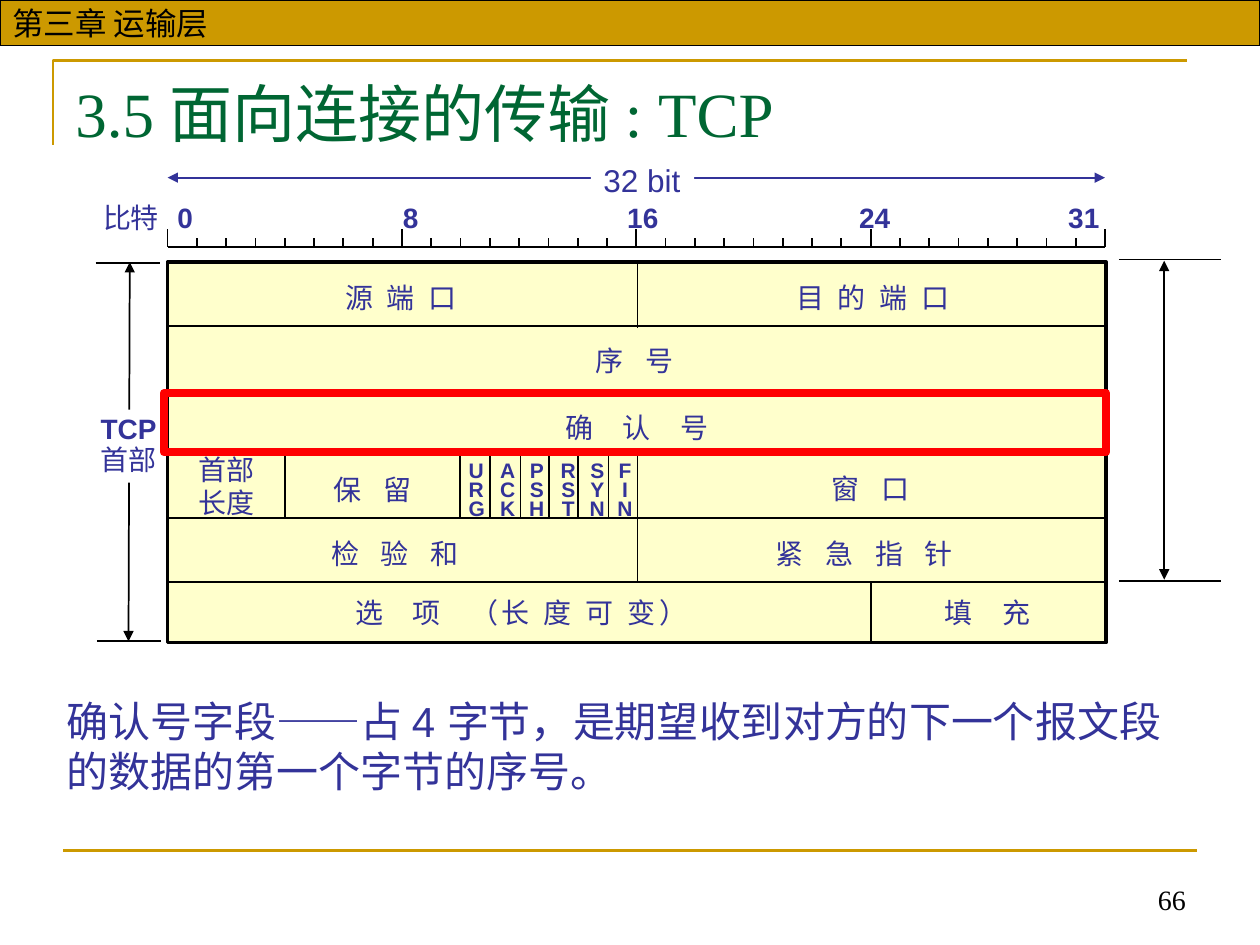
from lxml import etree
from pptx import Presentation
from pptx.dml.color import RGBColor
from pptx.enum.shapes import MSO_CONNECTOR, MSO_SHAPE
from pptx.enum.text import MSO_ANCHOR as ANCHOR, PP_ALIGN as ALIGN
from pptx.oxml.ns import qn
from pptx.util import Inches, Pt

THEME = {
    "gold": RGBColor(0xCC, 0x99, 0x00), "black": RGBColor(0, 0, 0),
    "white": RGBColor(255, 255, 255), "cream": RGBColor(0xFF, 0xFF, 0xCC),
    "navy": RGBColor(0x33, 0x33, 0x99), "green": RGBColor(0, 0x66, 0x33),
    "red": RGBColor(255, 0, 0), "sans": "Arial", "serif": "Times New Roman",
    "title": 36, "body": 24, "head": 18, "label": 16, "flag": 12,
}
SPACE = 2.22  # points of tracking that widen a gap by one label-size space

prs = Presentation()
prs.slide_width, prs.slide_height = Inches(10), Inches(7.5)
s = prs.slides.add_slide(prs.slide_layouts[6])


def add_text(box, paras, size="label", color="navy", font="sans", wrap=False,
             align=ALIGN.LEFT, anchor=ANCHOR.TOP, spacing=1.0, fill=None, line=None):
    """Each paragraph is a list of runs: (text, bold, gap in spaces)."""
    sp = s.shapes.add_shape(MSO_SHAPE.RECTANGLE, *map(Inches, box)) if fill \
        else s.shapes.add_textbox(*map(Inches, box))
    if fill:
        sp.shadow.inherit = False
        sp.fill.solid()
        sp.fill.fore_color.rgb = THEME[fill]
        if line:
            sp.line.color.rgb, sp.line.width = THEME[line], Pt(0.75)
        else:
            sp.line.fill.background()
    tf = sp.text_frame
    tf.word_wrap, tf.vertical_anchor = wrap, anchor
    for i, runs in enumerate(paras):
        p = tf.paragraphs[0] if i == 0 else tf.add_paragraph()
        p.alignment, p.line_spacing = align, spacing
        for text, bold, gap in runs:
            r = p.add_run()
            r.text = text
            fmt = {"name": THEME[font], "size": Pt(THEME[size]), "bold": bold}
            for key, value in fmt.items():
                setattr(r.font, key, value)
            r.font.color.rgb = THEME[color]
            if gap > 1:
                r._r.get_or_add_rPr().set("spc", str(round((gap - 1) * SPACE * 100)))
    return tf


def add_line(x1, y1, x2, y2, color="black", width=1, arrows=False):
    c = s.shapes.add_connector(MSO_CONNECTOR.STRAIGHT, *map(Inches, (x1, y1, x2, y2)))
    c.line.color.rgb, c.line.width = THEME[color], Pt(width)
    if arrows:
        for end in ("a:headEnd", "a:tailEnd"):
            etree.SubElement(c.line._get_or_add_ln(), qn(end), type="triangle")
    etree.SubElement(c._element.spPr, qn("a:effectLst"))


# Page frame: corner rule, bottom rule, chapter bar, page number
fb = s.shapes.build_freeform(Inches(0.42), Inches(1.15))
fb.add_line_segments([(Inches(0.42), Inches(0.48)), (Inches(9.42), Inches(0.48))], close=False)
corner = fb.convert_to_shape()
corner.shadow.inherit = False
corner.fill.background()
corner.line.color.rgb, corner.line.width = THEME["gold"], Pt(1.5)
add_line(0.5, 6.75, 9.5, 6.75, "gold", 1.5)
add_text((0, 0, 10, 0.36), [[("第三章 运输层", False, 1)]], "head", "black",
         anchor=ANCHOR.MIDDLE, fill="gold", line="black")
add_text((6.34, 6.82, 3.17, 0.5), [[("66", False, 1)]], "label", "black", "serif",
         wrap=True, align=ALIGN.RIGHT, anchor=ANCHOR.BOTTOM)

# Title
add_text((0.5, 0.54, 9, 0.77), [[("3.5 面向连接的传输 : TCP", False, 1)]],
         "title", "green", "serif", wrap=True)

# Height arrows at both sides
add_line(1.03, 2.08, 1.02, 5.09, arrows=True)
add_text((0.7, 3.25, 0.65, 0.58), [[("TCP", True, 1)], [("首部", False, 1)]],
         spacing=0.9, fill="white")
add_line(9.24, 2.07, 9.24, 4.6, arrows=True)
for x, y, width in [(0.76, 2.09, 0.51), (0.77, 5.09, 0.51),
                    (8.88, 2.06, 0.81), (8.88, 4.61, 0.81)]:
    add_line(x, y, x + width, y)

# Width arrow and bit ruler
LEFT, RIGHT, BITS = 1.33, 8.77, 32
add_line(LEFT, 1.41, RIGHT, 1.41, "navy", arrows=True)
add_text((4.69, 1.23, 0.82, 0.4), [[("32 bit", False, 1)]], "head", fill="white")
add_line(LEFT, 1.96, RIGHT, 1.96)
for bit in range(BITS + 1):
    x = LEFT + bit * (RIGHT - LEFT) / BITS
    add_line(x, 1.82 if bit % 8 == 0 else 1.89, x, 1.96)
tf = add_text((0.72, 1.54, 8.27, 0.37), [[]], wrap=True)
p = tf.paragraphs[0]
tabs = etree.SubElement(p._p.get_or_add_pPr(), qn("a:tabLst"))
for stop in (0.59, 2.38, 4.16, 6, 7.66):
    etree.SubElement(tabs, qn("a:tab"), pos=str(Inches(stop)), algn="l")
for text, bold in [("比特", False), ("\t0\t8\t16\t24\t31", True)]:
    r = p.add_run()
    r.text = text
    fmt = {"name": THEME["sans"], "size": Pt(THEME["label"]), "bold": bold}
    for key, value in fmt.items():
        setattr(r.font, key, value)
    r.font.color.rgb = THEME["navy"]

# Header body with row and column dividers
TOP, ROW = 2.08, 0.51
header = s.shapes.add_shape(MSO_SHAPE.RECTANGLE, *map(Inches, (LEFT, TOP, 7.45, 3.02)))
header.shadow.inherit = False
header.fill.solid()
header.fill.fore_color.rgb = THEME["cream"]
header.line.color.rgb, header.line.width = THEME["black"], Pt(2)
for row in range(1, 6):
    y = TOP + row * ROW - (0.01 if row > 3 else 0)
    add_line(LEFT, y, 8.78, y)
dividers = [(5.06, 2.08, 2.6), (5.06, 3.61, 4.61), (6.91, 4.63, 5.1)]
dividers += [(x, 3.61, 4.11) for x in (2.26, 3.65, 3.89, 4.13, 4.36, 4.59, 4.83)]
for x, y1, y2 in dividers:
    add_line(x, y1, x, y2)

# Field names: left, top, width, gap in spaces, text
for x, y, width, gap, name in [
    (2.64, 2.18, 1.12, 2, "源 端 口"), (6.22, 2.18, 1.48, 2, "目 的 端 口"),
    (4.63, 2.68, 0.84, 3, "序 号"), (4.39, 3.21, 1.42, 4, "确 认 号"),
    (2.55, 3.7, 0.84, 3, "保 留"), (6.5, 3.69, 0.84, 3, "窗 口"),
    (2.53, 4.21, 1.25, 3, "检 验 和"), (6.06, 4.21, 1.66, 3, "紧 急 指 针"),
    (7.4, 4.68, 0.9, 4, "填 充"),
]:
    add_text((x, y, width, 0.37), [[(name, False, gap)]])
add_text((1.48, 3.54, 0.65, 0.64), [[("首部", False, 1)], [("长度", False, 1)]])
add_text((2.72, 4.68, 3.1, 0.37), [[("选 项 ", False, 4), ("（长 度 可 变）", False, 2)]])

# Flag bits, one letter per line
for x, flag in zip((3.62, 3.87, 4.1, 4.35, 4.58, 4.8),
                   ("URG", "ACK", "PSH", "RST", "SYN", "FIN")):
    add_text((x, 3.63, 0.32, 0.55), [[(letter, True, 1)] for letter in flag],
             "flag", align=ALIGN.CENTER, spacing=0.75)

# Highlight on the acknowledgement number and its explanation
mark = s.shapes.add_shape(MSO_SHAPE.RECTANGLE, *map(Inches, (1.3, 3.12, 7.48, 0.47)))
mark.shadow.inherit = False
mark.fill.background()
mark.line.color.rgb, mark.line.width = THEME["red"], Pt(4.5)
add_text((0.43, 5.47, 9.21, 0.91),
         [[("确认号字段——占 4 字节，是期望收到对方的下一个报文段的数据的第一个字节的序号。", False, 1)]],
         "body", wrap=True)

prs.save("out.pptx")
